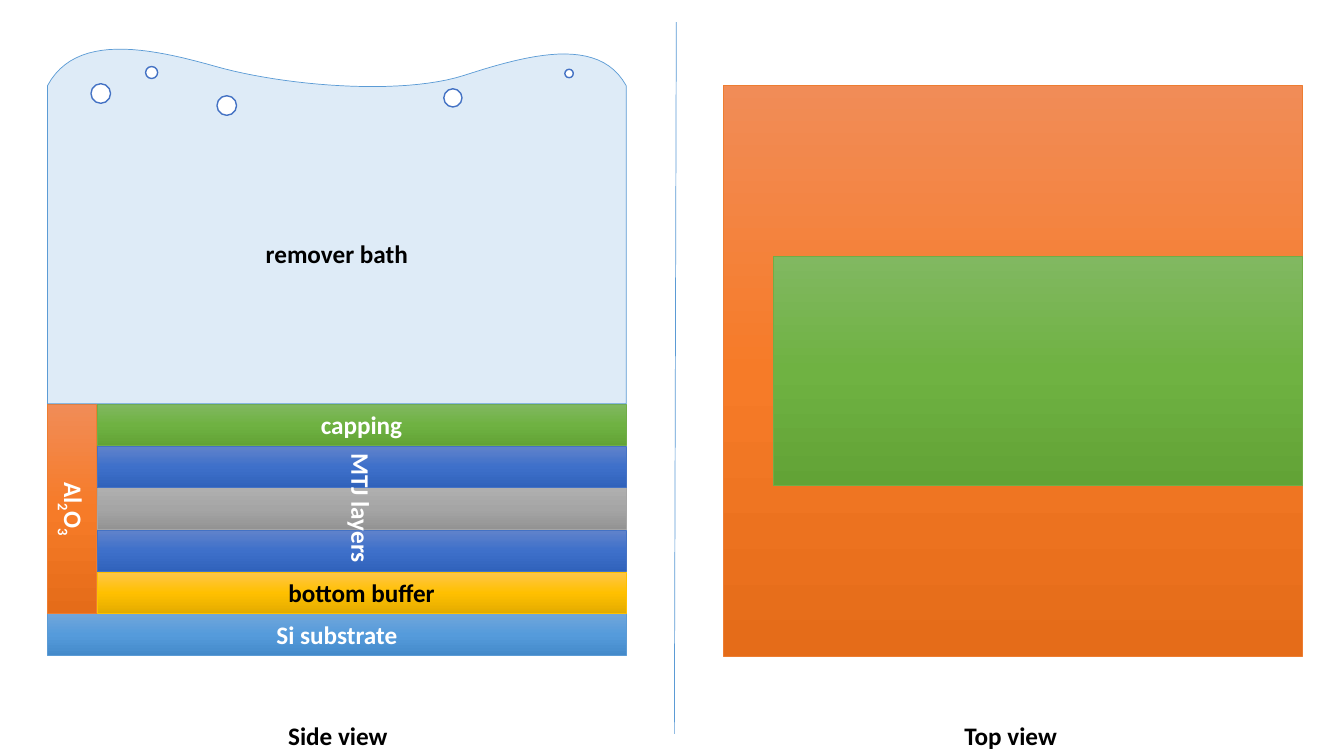
from copy import deepcopy

from pptx import Presentation
from pptx.dml.color import RGBColor
from pptx.enum import shapes, text
from pptx.util import Pt

COLORS = {
    "white": "FFFFFF", "black": "000000", "bath": "DEEBF7",
    "blue": "5B9BD5", "orange": "ED7D31", "gold": "FFC000",
    "indigo": "4472C4", "gray": "A5A5A5", "green": "70AD47",
}
GRADIENTS = {
    "blue": ("71A6DB", "559BDB", "448ACA"),
    "orange": ("F18C57", "F67B28", "E56C19"),
    "gold": ("FFC64B", "FFC000", "E3AB00"),
    "indigo": ("6183CB", "3E70CA", "3062BB"),
    "gray": ("AFAFAF", "A5A5A5", "939393"),
    "green": ("81B861", "6FB242", "62A336"),
}
LEFT, TOP_VIEW_LEFT, WIDTH = 34, 517, 413.3
OXIDE_WIDTH = 35.2
STACK_WIDTH = WIDTH - OXIDE_WIDTH
SURFACE, STACK_TOP, LAYER_HEIGHT = 61.2, 288.5, 30
BOTTOM = STACK_TOP + 6 * LAYER_HEIGHT

prs = Presentation()
prs.slide_width, prs.slide_height = Pt(960), Pt(540)
slide = prs.slides.add_slide(prs.slide_layouts[6])


def write(shape, words, color):
    """Fill the shape with bold text; digits become subscripts."""
    paragraph = shape.text_frame.paragraphs[0]
    pieces = ["Al", "2", "O", "3"] if words == "Al2O3" else [words]
    for piece in pieces:
        run = paragraph.add_run()
        run.text = piece
        run.font.name, run.font.size, run.font.bold = "Calibri", Pt(18), True
        run.font.color.rgb = RGBColor.from_string(COLORS[color])
        if piece.isdigit():
            run.font._element.set("baseline", "-25000")


def add_block(left, top, width, height, color):
    """Add a rectangle with a vertical three-stop gradient."""
    block = slide.shapes.add_shape(
        shapes.MSO_SHAPE.RECTANGLE, Pt(left), Pt(top), Pt(width), Pt(height))
    block.shadow.inherit = False
    block.fill.gradient()
    block.fill.gradient_angle = 270
    stop_list = block._element.spPr.xpath(".//a:gsLst")[0]
    stop_list.append(deepcopy(stop_list[-1]))
    for i, (stop, shade) in enumerate(
            zip(block.fill.gradient_stops, GRADIENTS[color])):
        stop.position = i / 2
        stop.color.rgb = RGBColor.from_string(shade)
    block.line.color.rgb = RGBColor.from_string(COLORS[color])
    block.line.width = Pt(0.5)
    block.text_frame.vertical_anchor = text.MSO_ANCHOR.MIDDLE
    block.text_frame.paragraphs[0].alignment = text.PP_ALIGN.CENTER
    return block


# Divider between the two views
divider = slide.shapes.add_connector(
    shapes.MSO_CONNECTOR.STRAIGHT, Pt(483.1), Pt(15.8), Pt(481.7), Pt(524.2))
divider.line.color.rgb = RGBColor.from_string(COLORS["blue"])
divider.line.width = Pt(0.5)
divider._element.spPr.get_or_add_ln().addnext(
    divider._element.spPr.makeelement(
        "{http://schemas.openxmlformats.org/drawingml/2006/main}effectLst", {}))

# Top view
add_block(TOP_VIEW_LEFT, SURFACE, WIDTH, BOTTOM - SURFACE, "orange")
add_block(TOP_VIEW_LEFT + OXIDE_WIDTH, 183, STACK_WIDTH, 163.5, "green")

# Side view: substrate, then the stack from bottom to top, then the oxide
substrate = add_block(LEFT, BOTTOM - LAYER_HEIGHT, WIDTH, LAYER_HEIGHT, "blue")
write(substrate, "Si substrate", "white")
layers = [
    ("gold", "bottom buffer", "black"), ("indigo", "", ""), ("gray", "", ""),
    ("indigo", "", ""), ("green", "capping", "white"),
]
for i, (color, words, ink) in enumerate(layers):
    layer = add_block(LEFT + OXIDE_WIDTH, BOTTOM - (i + 2) * LAYER_HEIGHT,
                      STACK_WIDTH, LAYER_HEIGHT, color)
    if words:
        write(layer, words, ink)
oxide = add_block(LEFT, STACK_TOP, OXIDE_WIDTH, 5 * LAYER_HEIGHT, "orange")
oxide.text_frame._txBody.bodyPr.set("vert", "vert")
write(oxide, "Al2O3", "white")

# Remover bath with a wavy surface made of three Bézier curves
RIGHT = LEFT + WIDTH
wave = [
    (LEFT, SURFACE), (54, 23.8), (105.8, 33.8), (154.1, 47.5),
    (202.3, 61.2), (285.8, 68.4), (331.2, 54),
    (375.8, 39.6), (427.7, 25.2), (RIGHT, SURFACE),
]
STEPS = 24
outline = []
for start in (0, 3, 6):
    for step in range(1, STEPS + 1):
        t = step / STEPS
        weights = ((1 - t) ** 3, 3 * t * (1 - t) ** 2, 3 * t ** 2 * (1 - t), t ** 3)
        points = wave[start:start + 4]
        outline.append(tuple(
            Pt(sum(w * p[axis] for w, p in zip(weights, points)))
            for axis in (0, 1)))
outline += [(Pt(RIGHT), Pt(STACK_TOP)), (Pt(LEFT), Pt(STACK_TOP))]
builder = slide.shapes.build_freeform(Pt(LEFT), Pt(SURFACE))
builder.add_line_segments(outline, close=True)
bath = builder.convert_to_shape()
bath.shadow.inherit = False
bath.fill.solid()
bath.fill.fore_color.rgb = RGBColor.from_string(COLORS["bath"])
bath.line.color.rgb = RGBColor.from_string(COLORS["blue"])
bath.line.width = Pt(0.5)
bath.text_frame.vertical_anchor = text.MSO_ANCHOR.MIDDLE
bath.text_frame.margin_top = Pt(42)
bath.text_frame.paragraphs[0].alignment = text.PP_ALIGN.CENTER
write(bath, "remover bath", "black")

bubbles = [  # left, top, diameter
    (65, 59.8, 14), (104, 47.5, 8.6), (155, 68.4, 14),
    (317, 63.4, 13), (403.5, 49.5, 6),
]
for left, top, diameter in bubbles:
    bubble = slide.shapes.add_shape(
        shapes.MSO_SHAPE.OVAL, Pt(left), Pt(top), Pt(diameter), Pt(diameter))
    bubble.shadow.inherit = False
    bubble.fill.solid()
    bubble.fill.fore_color.rgb = RGBColor.from_string(COLORS["white"])
    bubble.line.color.rgb = RGBColor.from_string(COLORS["indigo"])
    bubble.line.width = Pt(1)

# Free-standing labels: words, left, top, width, rotation, color
labels = [
    ("Side view", 198.7, 511.2, 85.7, 0, "black"),
    ("Top view", 681.8, 511.2, 81.4, 0, "black"),
    ("MTJ layers", 211.7, 349.2, 92.9, 90, "white"),
]
for words, left, top, width, rotation, color in labels:
    label = slide.shapes.add_textbox(Pt(left), Pt(top), Pt(width), Pt(28.8))
    label.rotation = rotation
    label.text_frame.word_wrap = False
    label.text_frame.auto_size = text.MSO_AUTO_SIZE.SHAPE_TO_FIT_TEXT
    write(label, words, color)

prs.save("out.pptx")
